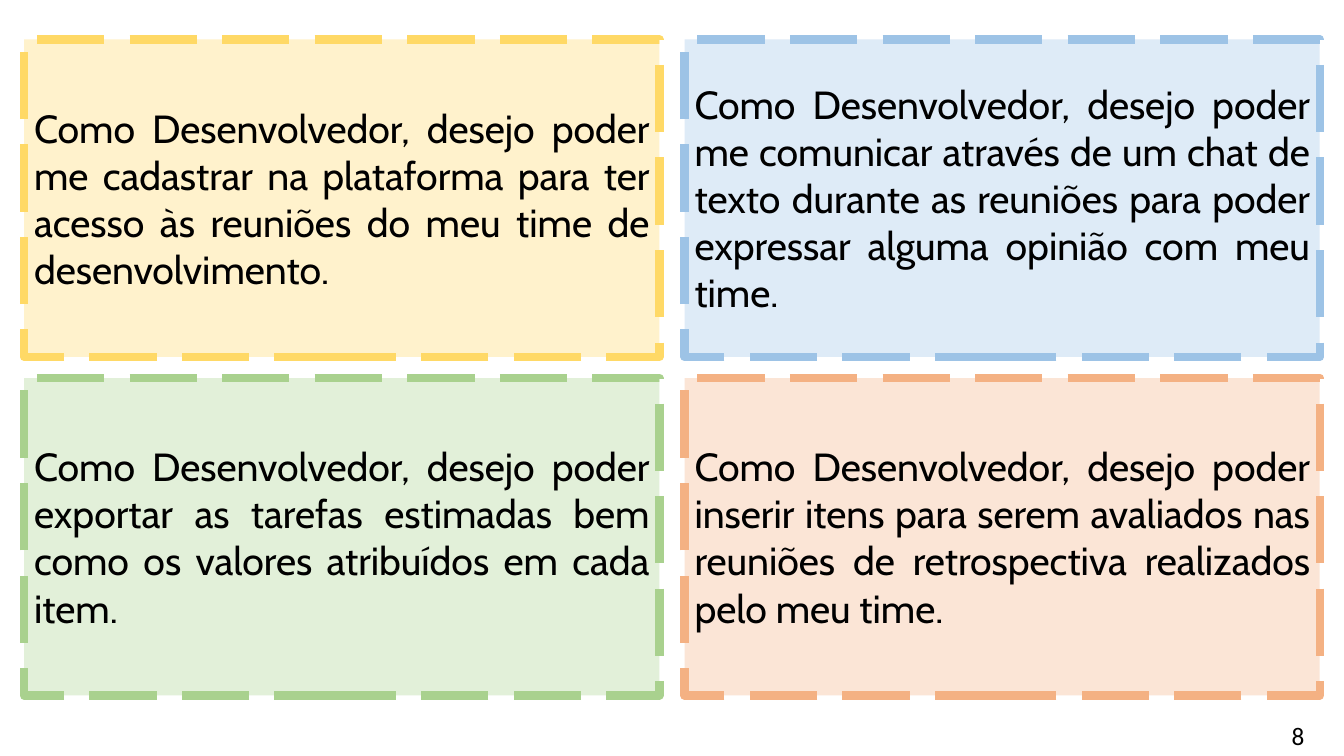
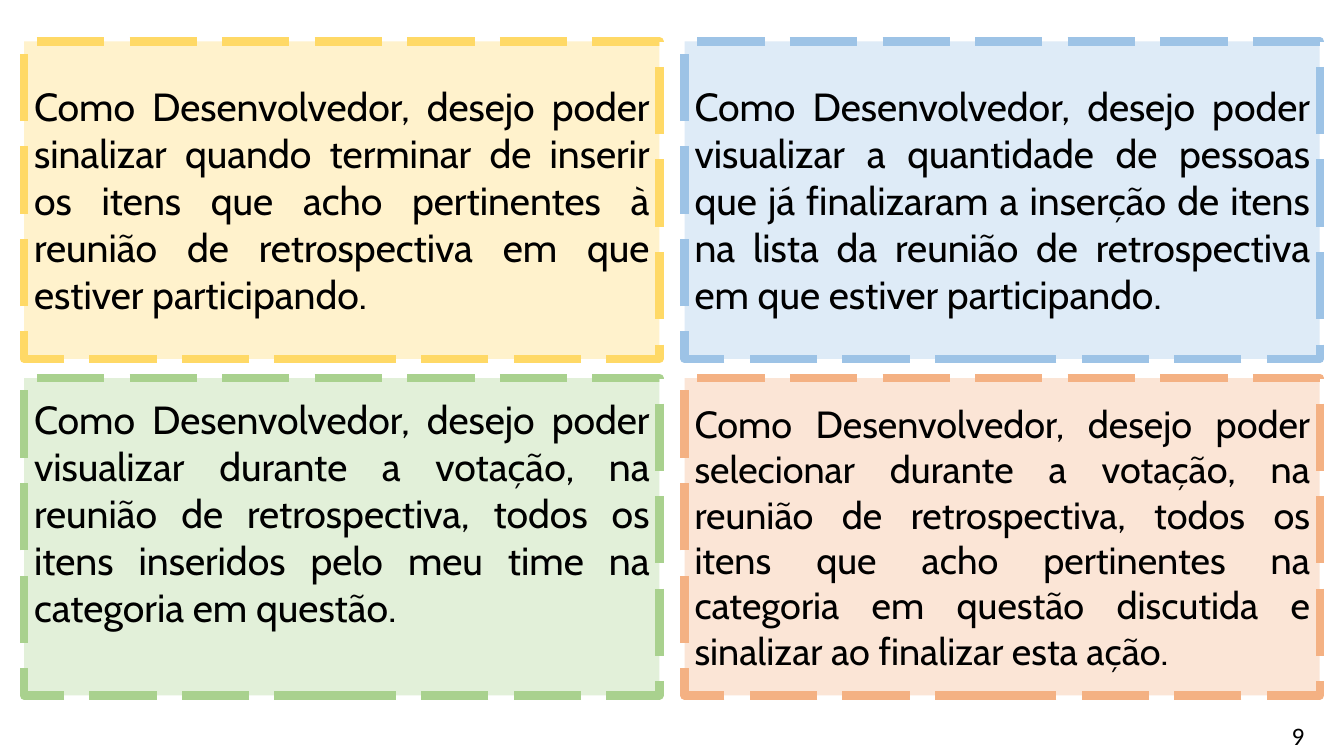
from pptx import Presentation
from pptx.dml.color import RGBColor
from pptx.enum.dml import MSO_LINE
from pptx.enum.shapes import MSO_SHAPE
from pptx.enum.text import MSO_ANCHOR, PP_ALIGN
from pptx.util import Inches, Pt

COLORS = {
    "text": "000000",
    "yellow": ("FFF2CC", "FFD966"),
    "blue": ("DEEBF7", "9DC3E6"),
    "green": ("E2F0D9", "A9D18E"),
    "orange": ("FBE5D6", "F4B183"),
}
GRID = ("yellow", "blue", "green", "orange")
LEFT, COLUMN_STEP = 0.24, 6.55
LOWER_TOP = 3.75
CARD_W, CARD_H = 6.3, 3.15
OPENING = "Como Desenvolvedor, desejo poder "

SLIDES = [
    {
        "number": 8,
        "top": 0.39,
        "stories": [
            {"text": "me cadastrar na plataforma para ter acesso às reuniões do meu time "
                     "de desenvolvimento."},
            {"text": "me comunicar através de um chat de texto durante as reuniões para "
                     "poder expressar alguma opinião com meu time."},
            {"text": "exportar as tarefas estimadas bem como os valores atribuídos em "
                     "cada item."},
            {"text": "inserir itens para serem avaliados nas reuniões de retrospectiva "
                     "realizados pelo meu time."},
        ],
    },
    {
        "number": 9,
        "top": 0.41,
        "stories": [
            {"text": "sinalizar quando terminar de inserir os itens que acho pertinentes "
                     "à reunião de retrospectiva em que estiver participando."},
            {"text": "visualizar a quantidade de pessoas que já finalizaram a inserção de "
                     "itens na lista da reunião de retrospectiva em que estiver "
                     "participando."},
            {"text": "visualizar durante a votação, na reunião de retrospectiva, todos os "
                     "itens inseridos pelo meu time na categoria em questão.",
             "bottom": 0.52},
            {"text": "selecionar durante a votação, na reunião de retrospectiva, todos os "
                     "itens que acho pertinentes na categoria em questão discutida e "
                     "sinalizar ao finalizar esta ação.",
             "size": 27},
        ],
    },
]


class Deck:
    def __init__(self):
        self.prs = Presentation()
        self.prs.slide_width, self.prs.slide_height = Inches(13.33), Inches(7.5)
        self.s = None

    def slide(self):
        self.s = self.prs.slides.add_slide(self.prs.slide_layouts[6])

    def set_text(self, tf, text, font, size, align):
        tf.word_wrap = True
        p = tf.paragraphs[0]
        p.text, p.alignment = text, align
        p.font.name, p.font.size = font, Pt(size)
        p.font.color.rgb = RGBColor.from_string(COLORS["text"])

    def card(self, column, top, color, text, size=28, bottom=0.05):
        sp = self.s.shapes.add_shape(
            MSO_SHAPE.RECTANGLE, Inches(LEFT + column * COLUMN_STEP), Inches(top),
            Inches(CARD_W), Inches(CARD_H))
        fill, line = COLORS[color]
        sp.shadow.inherit = False
        sp.fill.solid()
        sp.fill.fore_color.rgb = RGBColor.from_string(fill)
        sp.line.color.rgb = RGBColor.from_string(line)
        sp.line.width = Pt(6)
        sp.line.dash_style = MSO_LINE.LONG_DASH
        tf = sp.text_frame
        tf.vertical_anchor = MSO_ANCHOR.MIDDLE
        tf.margin_bottom = Inches(bottom)
        self.set_text(tf, OPENING + text, "Cabin", size, PP_ALIGN.JUSTIFY)

    def page_number(self, number):
        sp = self.s.shapes.add_textbox(Inches(12.66), Inches(7.1), Inches(0.43), Inches(0.4))
        self.set_text(sp.text_frame, str(number), "Calibri", 18, PP_ALIGN.CENTER)


def main():
    deck = Deck()
    for content in SLIDES:
        deck.slide()
        tops = (content["top"], LOWER_TOP)
        for i, (color, story) in enumerate(zip(GRID, content["stories"])):
            row, column = divmod(i, 2)
            deck.card(column, tops[row], color, **story)
        deck.page_number(content["number"])
    deck.prs.save("out.pptx")


if __name__ == "__main__":
    main()
